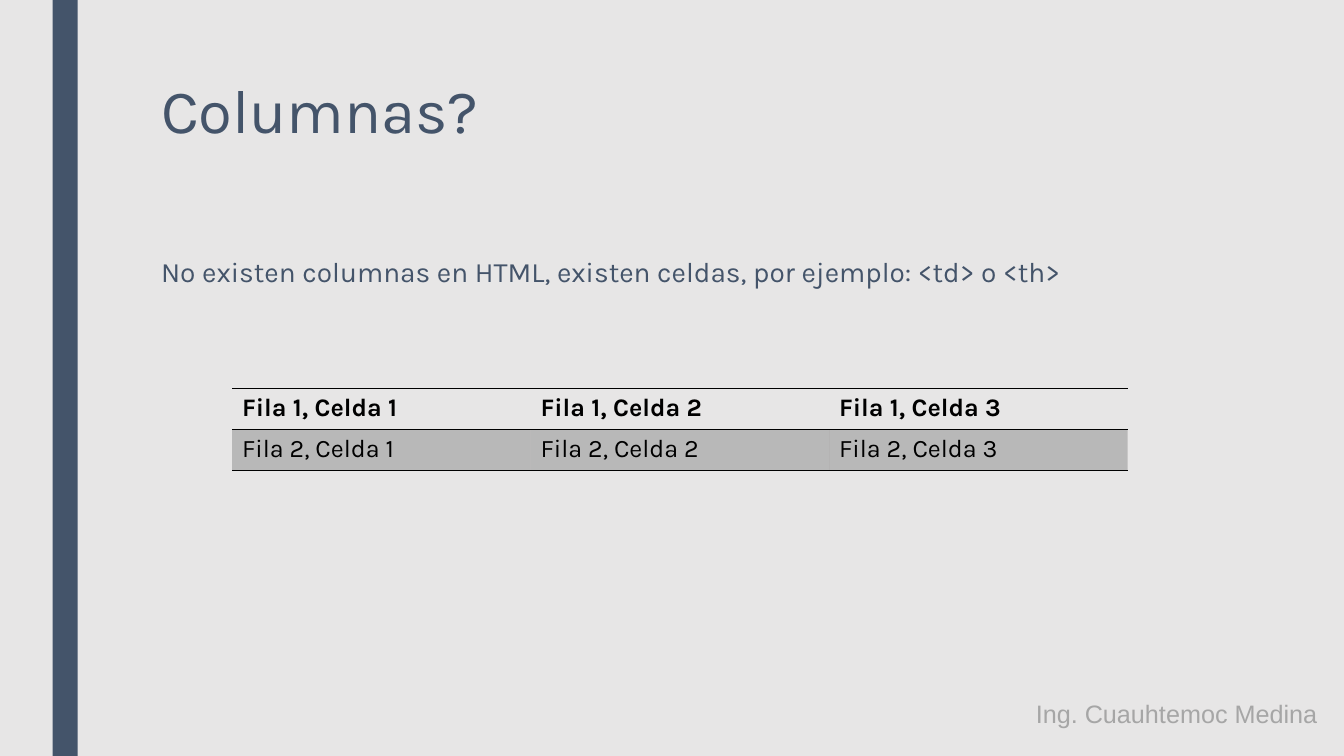
from lxml.etree import SubElement
from pptx import Presentation
from pptx.dml.color import RGBColor as Rgb
from pptx.enum.shapes import MSO_SHAPE as Shape
from pptx.enum.text import MSO_AUTO_SIZE as Fit
from pptx.oxml import parse_xml
from pptx.oxml.ns import nsdecls, qn
from pptx.util import Pt

PX = 9525
HUES = {"back": "E7E6E6", "navy": "44546A", "ink": "000000", "gray": "A6A6A6"}
PLAIN = "{2D5ABB26-0587-4C30-8999-92F81FD0307C}"


def hue(name):
    return Rgb.from_string(HUES[name])


def px(*sizes):
    return [size * PX for size in sizes]


def style(para, face, size, tint, bold=False):
    font = para.font
    font.name, font.size, font.bold = face, Pt(size), bold
    font.color.rgb = hue(tint)


def add_bar(slide, box):
    bar = slide.shapes.add_shape(Shape.RECTANGLE, *px(*box))
    bar.shadow.inherit = False
    bar.fill.solid()
    bar.fill.fore_color.rgb = hue("navy")
    bar.line.fill.background()


def add_text(slide, box, words, face, size, tint, wrap=True):
    frame = slide.shapes.add_textbox(*px(*box)).text_frame
    frame.word_wrap = wrap
    frame.auto_size = Fit.NONE if wrap else Fit.SHAPE_TO_FIT_TEXT
    para = frame.paragraphs[0]
    para.text = words
    style(para, face, size, tint)
    return para


def add_rule(cell, side, index):
    rule = parse_xml(
        f'<a:{side} {nsdecls("a")} w="{Pt(1)}"><a:solidFill>'
        f'<a:srgbClr val="{HUES["ink"]}"/></a:solidFill></a:{side}>'
    )
    cell._tc.get_or_add_tcPr().insert(index, rule)


def shade(cell, alpha):
    cell.fill.solid()
    cell.fill.fore_color.rgb = hue("ink")
    tint = cell._tc.tcPr.find(".//" + qn("a:srgbClr"))
    SubElement(tint, qn("a:alpha"), val=str(alpha * 1000))


def add_grid(slide, box, rows, cols):
    grid = slide.shapes.add_table(rows, cols, *px(*box)).table
    grid.horz_banding = False
    grid._tbl.tblPr.find(qn("a:tableStyleId")).text = PLAIN
    for row in range(rows):
        for col in range(cols):
            cell = grid.cell(row, col)
            cell.text = f"Fila {row + 1}, Celda {col + 1}"
            head = row == 0
            style(cell.text_frame.paragraphs[0], "Karla", 18, "ink", head)
            if head:
                cell.fill.background()
            else:
                shade(cell, 20)
            add_rule(cell, "lnT", 0)
            add_rule(cell, "lnB", 1)


def main():
    deck = Presentation()
    deck.slide_width, deck.slide_height = px(1280, 720)
    slide = deck.slides.add_slide(deck.slide_layouts[6])
    slide.background.fill.solid()
    slide.background.fill.fore_color.rgb = hue("back")

    add_bar(slide, (50, 0, 24, 720))
    title = add_text(slide, (144, 72, 1008, 156), "Columnas?", "Karla", 44, "navy")
    title.line_spacing = 0.89
    body = add_text(
        slide, (144, 240, 1008, 376),
        "No existen columnas en HTML, existen celdas, por ejemplo: <td> o <th>",
        "Karla", 20, "navy",
    )
    body.line_spacing = 0.94
    body.space_before, body.space_after = Pt(10), Pt(2)
    add_grid(slide, (221, 370, 853, 78), 2, 3)
    add_text(
        slide, (977, 660, 290, 39), "Ing. Cuauhtemoc Medina",
        "Arial", 18, "gray", wrap=False,
    )
    deck.save("out.pptx")


if __name__ == "__main__":
    main()
